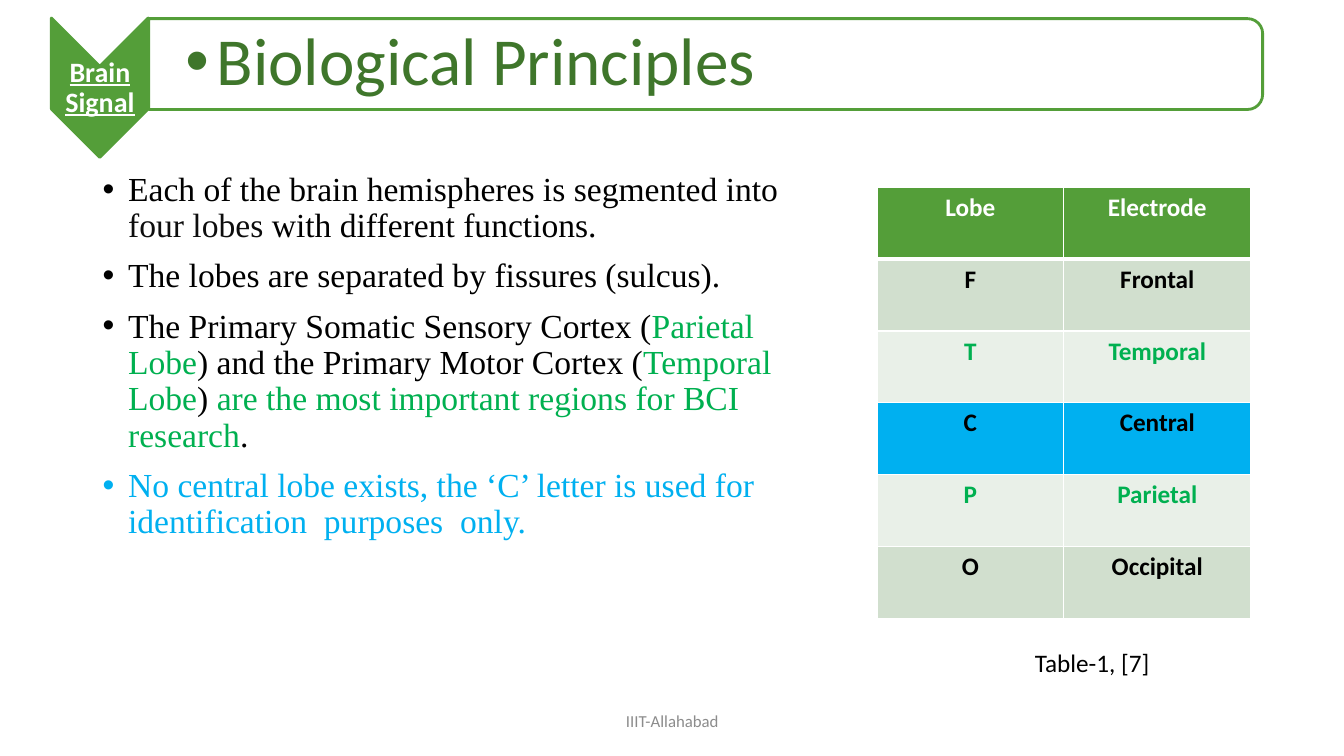
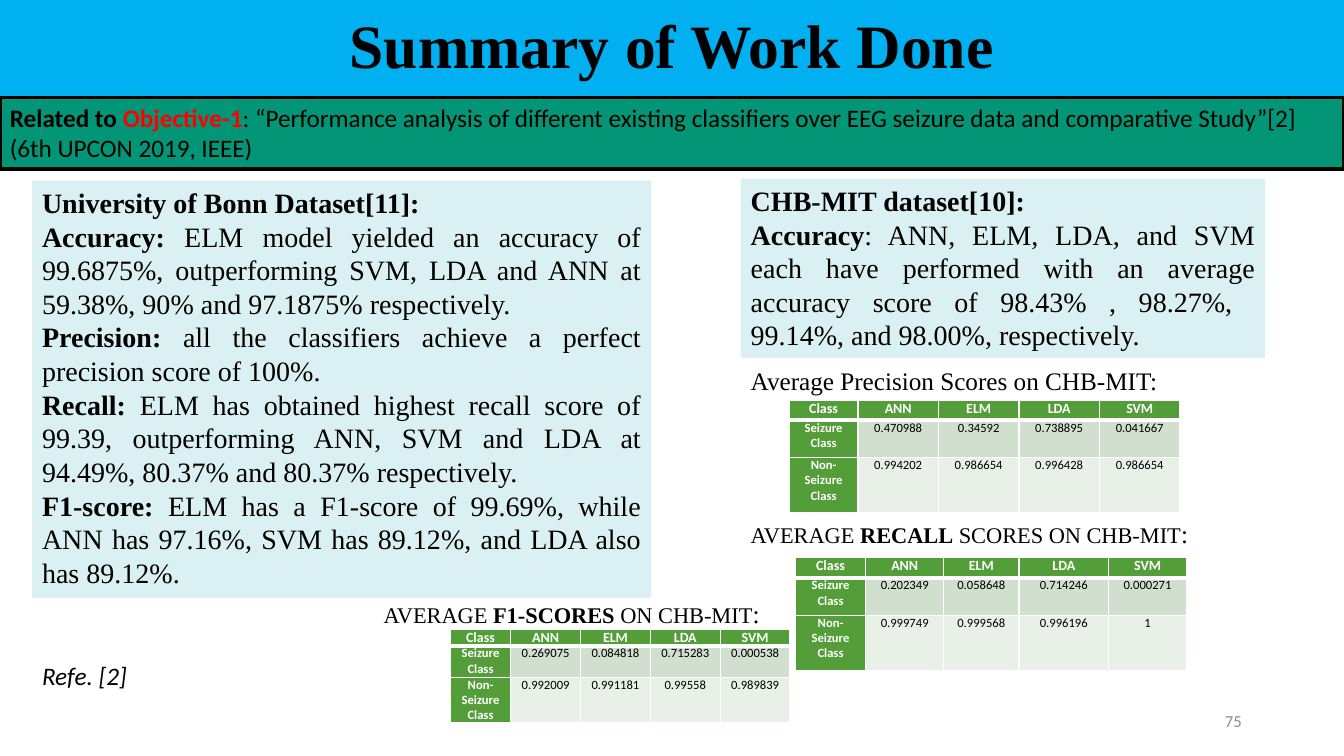
from dataclasses import dataclass

from lxml import etree
from pptx import Presentation
from pptx import util as u
from pptx.dml.color import RGBColor
from pptx.enum import shapes, text
from pptx.oxml import ns

Cm, Pt = u.Cm, u.Pt
KIND = shapes.MSO_SHAPE
ALIGN = text.PP_ALIGN
ANCHOR = text.MSO_ANCHOR


@dataclass(frozen=True)
class Theme:
    sans: str = "Calibri"
    serif: str = "Times New Roman"
    black: str = "000000"
    ink: str = "0D0D0D"
    white: str = "FFFFFF"
    green: str = "549E39"
    dark_green: str = "3F762B"
    accent: str = "00B050"
    blue: str = "00B0F0"
    teal: str = "029676"
    red: str = "FF0000"
    panel: str = "DBF0F3"
    grey: str = "8C8C8C"
    bands: tuple = ("D1DFCE", "E9F0E8")
    heading: int = 48
    title: int = 44
    body: int = 24
    panel_text: int = 20
    label: int = 18
    caption: int = 16
    footer: int = 12
    head_cell: int = 10
    cell: int = 9


T = Theme()
BOLD = {"bold": True}
ACCENT = {"color": T.accent}


class Deck:
    width, height = 33.87, 19.05

    def __init__(self):
        self.prs = Presentation()
        self.prs.slide_width = Cm(self.width)
        self.prs.slide_height = Cm(self.height)

    def new_slide(self):
        self.s = self.prs.slides.add_slide(self.prs.slide_layouts[6])

    def paragraphs(self, tf, paras, style, para=None, hang=None):
        base = {"name": T.sans, "size": T.label, "color": T.black, **style}
        for i, runs in enumerate(paras):
            p = tf.paragraphs[0] if i == 0 else tf.add_paragraph()
            if hang:
                self.bullet(p, hang)
            for key, value in (para or {}).items():
                if i or key != "space_before":
                    setattr(p, key, value)
            for run in [runs] if isinstance(runs, str) else runs:
                words, change = (run, {}) if isinstance(run, str) else run
                r = p.add_run()
                r.text = words
                look = {**base, **change}
                r.font.color.rgb = RGBColor.from_string(look.pop("color"))
                look["size"] = Pt(look["size"])
                for key, value in look.items():
                    setattr(r.font, key, value)

    def bullet(self, p, hang):
        pPr = p._p.get_or_add_pPr()
        pPr.set("marL", str(Cm(hang)))
        pPr.set("indent", str(-Cm(hang)))
        etree.SubElement(pPr, ns.qn("a:buFont")).set("typeface", "Arial")
        etree.SubElement(pPr, ns.qn("a:buChar")).set("char", "•")

    def frame(self, sp, paras, style, para=None, hang=None,
              anchor=ANCHOR.TOP, **margins):
        tf = sp.text_frame
        tf.word_wrap = True
        tf.vertical_anchor = anchor
        for side, size in margins.items():
            setattr(tf, f"margin_{side}", Cm(size))
        self.paragraphs(tf, paras, style, para, hang)

    def text(self, box, paras, style=None, **options):
        sp = self.s.shapes.add_textbox(*map(Cm, box))
        self.frame(sp, paras, style or {}, **options)

    def shape(self, kind, box, fill, line=None, weight=2, rotation=0):
        sp = self.s.shapes.add_shape(kind, *map(Cm, box))
        sp.shadow.inherit = False
        sp.rotation = rotation
        sp.fill.solid()
        sp.fill.fore_color.rgb = RGBColor.from_string(fill)
        if line:
            sp.line.color.rgb = RGBColor.from_string(line)
            sp.line.width = Pt(weight)
        else:
            sp.line.fill.background()
        return sp

    def panel(self, box, paras):
        sp = self.shape(KIND.RECTANGLE, box, T.panel)
        self.frame(sp, paras, {"name": T.serif, "size": T.panel_text},
                   para={"alignment": ALIGN.JUSTIFY})

    def footer(self, left, width, words, alignment):
        self.text((left, 17.65, width, 1.02), [words],
                  {"size": T.footer, "color": T.grey},
                  para={"alignment": alignment}, anchor=ANCHOR.MIDDLE)

    def cell(self, c, words, fill, style, header):
        tcPr = c._tc.get_or_add_tcPr()
        for side in "LRTB":
            weight = 3 if header and side == "B" else 1
            ln = etree.SubElement(tcPr, ns.qn(f"a:ln{side}"), w=str(Pt(weight)))
            solid = etree.SubElement(ln, ns.qn("a:solidFill"))
            etree.SubElement(solid, ns.qn("a:srgbClr"), val=T.white)
        c.fill.solid()
        c.fill.fore_color.rgb = RGBColor.from_string(fill)
        self.paragraphs(c.text_frame, [words], style, {"alignment": ALIGN.CENTER})

    def table(self, left, top, cols, heights, rows, look, margins=None):
        box = map(Cm, (left, top, sum(cols), sum(heights)))
        tbl = self.s.shapes.add_table(len(rows), len(cols), *box).table
        tbl.horz_banding = False
        for col, width in zip(tbl.columns, cols):
            col.width = Cm(width)
        for i, (row, height) in enumerate(zip(rows, heights)):
            tbl.rows[i].height = Cm(height)
            for j, words in enumerate(row):
                c = tbl.cell(i, j)
                for side, size in (margins or {}).items():
                    setattr(c, f"margin_{side}", Cm(size))
                fill, style = look(i, j)
                self.cell(c, words, fill, style, i == 0)

    def scores(self, left, top, cols, heights, seizure, non_seizure):
        def look(i, j):
            size = T.cell if i else T.head_cell
            if i == 0 or j == 0:
                return T.green, {"size": size, "color": T.white, "bold": True}
            return T.bands[i - 1], {"size": size}

        rows = [("Class", "ANN", "ELM", "LDA", "SVM"),
                ("Seizure Class", *seizure),
                ("Non-Seizure Class", *non_seizure)]
        self.table(left, top, cols, heights, rows, look,
                   {"left": 0.18, "right": 0.18, "top": 0, "bottom": 0})

    def score_caption(self, left, top, width, measure, ending):
        runs = ["AVERAGE ", (measure, BOLD), ending, (":", {"size": T.label})]
        self.text((left, top, width, 1.02), [runs],
                  {"name": T.serif, "size": T.caption})


def lobe_look(i, j):
    if i == 0:
        return T.green, {"color": T.white, "bold": True}
    fill = T.blue if i == 3 else T.bands[(i - 1) % 2]
    return fill, {"color": T.accent if i in (2, 4) else T.black, "bold": True}


def principles(d):
    d.new_slide()
    d.shape(KIND.CHEVRON, (0.76, 0.99, 3.51, 2.44), T.green, T.green, rotation=90)
    d.text((1.3, 1.7, 2.44, 1.04), ["Brain Signal"],
           {"size": T.panel_text, "color": T.white, "bold": True, "underline": True},
           para={"alignment": ALIGN.CENTER, "line_spacing": 0.9},
           anchor=ANCHOR.MIDDLE, left=0.03, right=0.03, top=0.03, bottom=0.03)
    d.shape(KIND.ROUND_2_SAME_RECTANGLE, (16.64, -12.42, 2.29, 28.07),
            T.white, T.green, rotation=90)
    d.text((3.73, 0.58, 27.97, 2.06), ["Biological Principles"],
           {"size": T.heading, "color": T.dark_green},
           para={"line_spacing": 0.9}, hang=0.79,
           anchor=ANCHOR.MIDDLE, left=0.94, right=0.08, top=0.08, bottom=0.08)
    d.text((2.34, 4.22, 18.77, 11.96), [
        ["Each of the brain hemispheres is segmented into ",
         ("four lobes ", {"color": T.ink}), "with different functions."],
        "The lobes are separated by fissures (sulcus).",
        ["The Primary Somatic Sensory Cortex (", ("Parietal Lobe", ACCENT),
         ") and the Primary Motor Cortex (", ("Temporal Lobe", ACCENT), ") ",
         ("are the most important regions for BCI research", ACCENT), "."],
        [("No central lobe exists, the ‘C’ letter is used for "
          "identification  purposes  only.", {"color": T.blue})],
    ], {"name": T.serif, "size": T.body},
        para={"line_spacing": 0.9, "space_before": Pt(10)}, hang=0.64)
    lobes = [("Lobe", "Electrode"), ("F", "Frontal"), ("T", "Temporal"),
             ("C", "Central"), ("P", "Parietal"), ("O", "Occipital")]
    d.table(22.1, 4.72, [4.71] * 2, [1.81] * len(lobes), lobes, lobe_look)
    d.text((25.83, 16.18, 3.86, 1.02), ["Table-1, [7]"])
    d.footer(11.23, 11.43, "IIIT-Allahabad", ALIGN.CENTER)


def summary(d):
    d.new_slide()
    band = 2.46
    sp = d.shape(KIND.RECTANGLE, (0, 0, d.width, band), T.blue)
    d.frame(sp, ["Summary of Work Done"],
            {"name": T.serif, "size": T.title, "bold": True},
            para={"alignment": ALIGN.CENTER, "line_spacing": 0.9},
            anchor=ANCHOR.MIDDLE)
    sp = d.shape(KIND.RECTANGLE, (0, band, d.width, 1.8), T.teal, T.black, 2.25)
    d.frame(sp, [[
        ("Related to ", BOLD), ("Objective-1", {"color": T.red, **BOLD}),
        ": “Performance analysis of different existing classifiers over EEG "
        "seizure data and comparative Study”[2] (6th UPCON 2019, IEEE)",
    ]], {}, para={"alignment": ALIGN.LEFT})

    left, right = 0.81, 18.67
    d.panel((left, 4.55, 15.6, 10.52), [
        [("University of Bonn Dataset[11]:", BOLD)],
        [("Accuracy: ", BOLD), "ELM model yielded an accuracy of 99.6875%, "
         "outperforming SVM, LDA and ANN at 59.38%, 90% and 97.1875% respectively."],
        [("Precision: ", BOLD),
         "all the classifiers achieve a perfect precision score of 100%."],
        [("Recall: ", BOLD), "ELM has obtained highest recall score of 99.39, "
         "outperforming ANN, SVM and LDA at 94.49%, 80.37% and 80.37% respectively."],
        [("F1-score:", BOLD), " ELM has a F1-score of 99.69%, while ANN has "
         "97.16%, SVM has 89.12%, and LDA also has 89.12%."],
    ])
    d.panel((right, 4.5, 13.21, 4.52), [
        [("CHB-MIT dataset[10]:", BOLD)],
        [("Accuracy", BOLD), ": ANN, ELM, LDA, and SVM each have performed with "
         "an average accuracy score of 98.43% , 98.27%,  99.14%, and 98.00%, "
         "respectively."],
    ])

    heights = [0.51, 0.94, 1.4]
    d.text((right, 9.09, 11.71, 1.02), ["Average Precision Scores on CHB-MIT:"],
           {"name": T.serif})
    d.scores(19.89, 10.08, [1.73] + [2.03] * 4, heights,
             ("0.470988", "0.34592", "0.738895", "0.041667"),
             ("0.994202", "0.986654", "0.996428", "0.986654"))
    d.score_caption(right, 12.93, 11.71, "RECALL", " SCORES ON CHB-MIT")
    d.scores(20.04, 14.05, [1.78, 1.96, 1.9, 2.26, 1.96], heights,
             ("0.202349", "0.058648", "0.714246", "0.000271"),
             ("0.999749", "0.999568", "0.996196", "1"))
    d.score_caption(9.42, 14.94, 10.46, "F1-SCORES", " ON CHB-MIT")
    d.scores(11.35, 15.85, [1.52] + [1.76] * 4, [0.41, 0.79, 1.14],
             ("0.269075", "0.084818", "0.715283", "0.000538"),
             ("0.992009", "0.991181", "0.99558", "0.989839"))
    d.text((left, 16.51, 4.8, 1.02), ["Refe. [2]"], {"italic": True})
    d.footer(23.93, 7.62, "75", ALIGN.RIGHT)


def main():
    d = Deck()
    principles(d)
    summary(d)
    d.prs.save("out.pptx")


if __name__ == "__main__":
    main()
